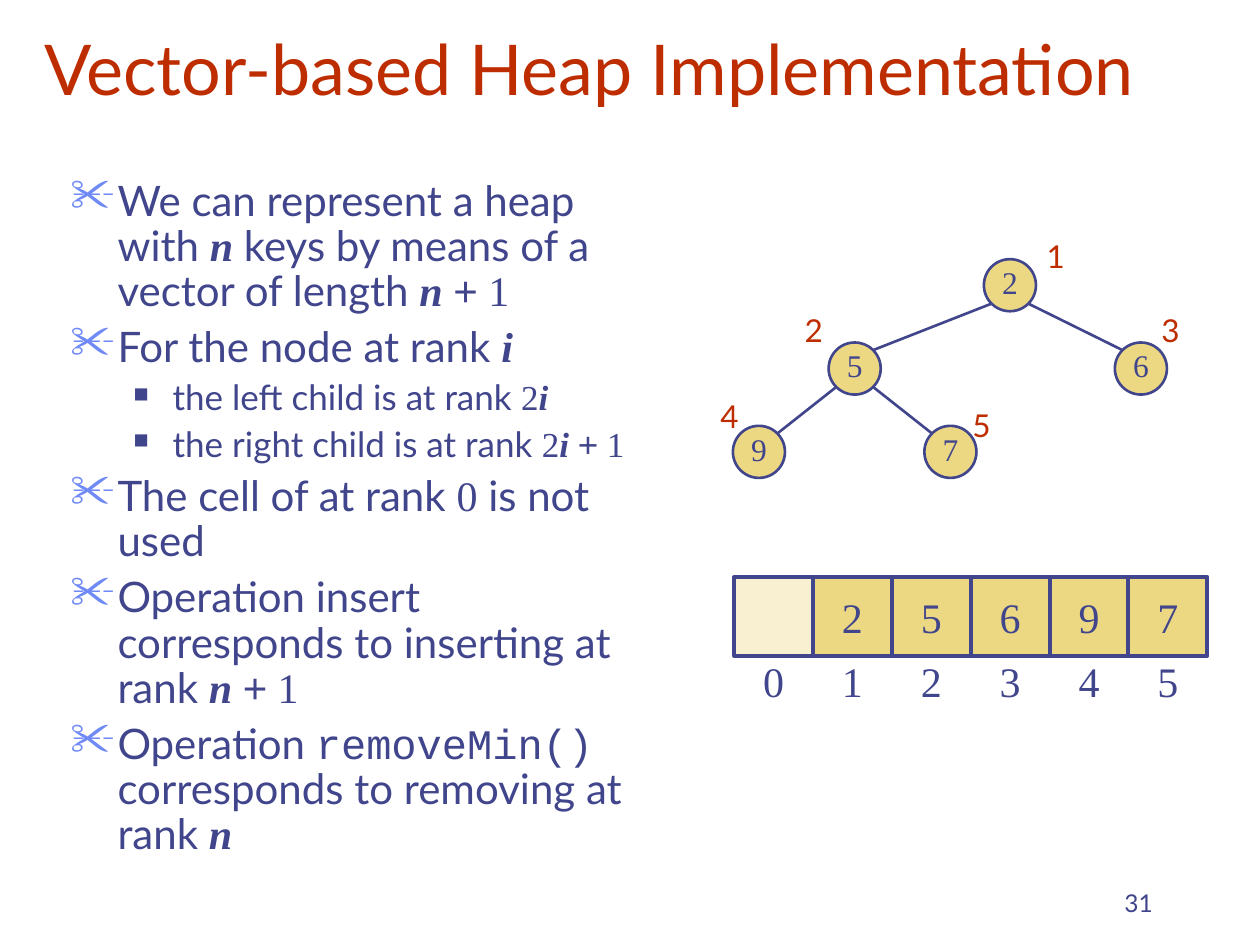
import math
import pptx
import pptx.chart.data
import pptx.dml.color
import pptx.enum.shapes
import pptx.enum.text
import pptx.oxml
import pptx.oxml.ns
import pptx.util
from lxml import etree

Cm = pptx.util.Cm
Pt = pptx.util.Pt
Align = pptx.enum.text.PP_ALIGN
Anchor = pptx.enum.text.MSO_ANCHOR
Kind = pptx.enum.shapes.MSO_SHAPE
qn = pptx.oxml.ns.qn

HUES = {"ink": "40458C", "red": "BE2D00", "gold": "ECD882",
        "pale": "F8F0D0", "mark": "6F89F7"}
SERIF = "Times New Roman"
FACES = {
    "text": {"name": "Lato"},
    "var": {"name": SERIF, "bold": True, "italic": True},
    "num": {"name": SERIF},
    "sign": {"name": "Arial"},
    "code": {"name": "Courier New"},
}
LEVELS = [
    {"size": 24, "gap": 6, "left": 0.95, "hang": -0.95, "char": "✂", "hue": "mark", "pct": 110},
    {"size": 20, "gap": 5, "left": 2.06, "hang": -0.79, "char": "■", "hue": "ink", "pct": 60},
]
TITLE = "Vector-based Heap Implementation"
NEXT = [("var", "n "), ("sign", "+"), ("num", " 1")]
POINTS = [
    (0, [("text", "We can represent a heap with "), ("var", "n"),
         ("text", " keys by means of a vector of length "), *NEXT]),
    (0, [("text", "For the node at rank "), ("var", "i")]),
    (1, [("text", "the left child is at rank "), ("num", "2"), ("var", "i")]),
    (1, [("text", "the right child is at rank "), ("num", "2"), ("var", "i "),
         ("sign", "+"), ("num", " 1")]),
    (0, [("text", "The cell of at rank "), ("num", "0"), ("text", " is not used")]),
    (0, [("text", "Operation insert corresponds to inserting at rank "), *NEXT]),
    (0, [("text", "Operation "), ("code", "removeMin() "),
         ("text", "corresponds to removing at rank "), ("var", "n")]),
]
KEYS = ["", "2", "5", "6", "9", "7"]
MIDS = {1: 20.36, 2: 17.23, 3: 23.0, 4: 15.3, 5: 19.16}
RANKS = {1: (20.55, 4.65), 2: (15.67, 6.15), 3: (22.86, 6.15),
         4: (13.97, 7.87), 5: (19.05, 8.05)}
TOP, STEP, DIAM = 5.75, 1.68, 1.05
LEFT, ROW, CELL = 14.8, 11.63, 1.59


def tint(name):
    return pptx.dml.color.RGBColor.from_string(HUES[name])


def apply(item, vals):
    for key, val in vals.items():
        setattr(item, key, val)


def write(para, text, face, size, hue="ink"):
    run = para.add_run()
    run.text = text
    apply(run.font, {**FACES[face], "size": Pt(size)})
    run.font.color.rgb = tint(hue)


def pad(frame, sides):
    names = ("margin_left", "margin_top", "margin_right", "margin_bottom")
    apply(frame, dict(zip(names, map(Cm, sides))))


def label(home, box, text, face, size, hue="ink", align=Align.CENTER,
          anchor=Anchor.TOP, sides=(0.25, 0.13, 0.25, 0.13)):
    frame = home.add_textbox(*map(Cm, box)).text_frame
    apply(frame, {"word_wrap": True, "vertical_anchor": anchor})
    pad(frame, sides)
    frame.paragraphs[0].alignment = align
    write(frame.paragraphs[0], text, face, size, hue)


def block(home, kind, box, text, size, fill, width, sides):
    shape = home.add_shape(kind, *map(Cm, box))
    shape.shadow.inherit = False
    shape.fill.solid()
    shape.fill.fore_color.rgb = tint(fill)
    shape.line.color.rgb = tint("ink")
    shape.line.width = Pt(width)
    if text:
        frame = shape.text_frame
        apply(frame, {"word_wrap": False, "vertical_anchor": Anchor.MIDDLE})
        pad(frame, sides)
        frame.paragraphs[0].alignment = Align.CENTER
        write(frame.paragraphs[0], text, "num", size)


def bullet(para, form):
    apply(para, {"line_spacing": 0.9, "space_before": Pt(form["gap"])})
    props = para._p.get_or_add_pPr()
    props.set("marL", str(Cm(form["left"])))
    props.set("indent", str(Cm(form["hang"])))
    color = etree.SubElement(props, qn("a:buClr"))
    etree.SubElement(color, qn("a:srgbClr"), val=HUES[form["hue"]])
    etree.SubElement(props, qn("a:buSzPct"), val=str(form["pct"] * 1000))
    etree.SubElement(props, qn("a:buChar"), char=form["char"])


def head(slide):
    title = slide.shapes.title
    box = (0.64, -0.84, 24.33, 3.18)
    apply(title, dict(zip(("left", "top", "width", "height"), map(Cm, box))))
    frame = title.text_frame
    apply(frame, {"word_wrap": True, "vertical_anchor": Anchor.BOTTOM,
                  "auto_size": pptx.enum.text.MSO_AUTO_SIZE.NONE})
    frame.paragraphs[0].alignment = Align.LEFT
    write(frame.paragraphs[0], TITLE, "text", 40, "red")


def body(slide):
    frame = slide.shapes.add_textbox(*map(Cm, (1.17, 3.5, 12.17, 15.67))).text_frame
    frame.word_wrap = True
    for spot, (level, parts) in enumerate(POINTS):
        para = frame.add_paragraph() if spot else frame.paragraphs[0]
        para.level = level
        bullet(para, LEVELS[level])
        for face, text in parts:
            write(para, text, face, LEVELS[level]["size"])


def row(home):
    for rank, key in enumerate(KEYS):
        left = LEFT + rank * CELL
        fill = "gold" if key else "pale"
        block(home, Kind.RECTANGLE, (left, ROW, CELL, CELL), key, 24, fill, 2.25,
              (0.25, 0.13, 0.25, 0.13))
        label(home, (left + (CELL - 0.76) / 2, ROW + CELL, 0.76, 1.02), str(rank),
              "num", 24, sides=(0, 0, 0, 0))


def tree(home):
    def mid(rank):
        return MIDS[rank], TOP + STEP * int(math.log2(rank))

    reach = DIAM / 2 / math.sqrt(2)
    for rank in MIDS:
        x, y = mid(rank)
        if rank > 1:
            px, py = mid(rank // 2)
            side = math.copysign(reach, x - px)
            ends = (px + side, py + reach, x - side, y - reach)
            edge = home.add_connector(pptx.enum.shapes.MSO_CONNECTOR.STRAIGHT, *map(Cm, ends))
            edge.line.color.rgb = tint("ink")
            edge.line.width = Pt(1.5)
            etree.SubElement(edge._element.spPr, qn("a:effectLst"))
        block(home, Kind.OVAL, (x - DIAM / 2, y - DIAM / 2, DIAM, DIAM), KEYS[rank], 18,
              "gold", 1.5, (0, 0, 0, 0.13))
        label(home, (*RANKS[rank], 1.47, 1.02), str(rank), "text", 18, "red")


def main():
    deck = pptx.Presentation()
    apply(deck, {"slide_width": Cm(25.4), "slide_height": Cm(19.05)})
    slide = deck.slides.add_slide(deck.slide_layouts[5])
    head(slide)
    body(slide)
    label(slide.shapes, (18.21, 17.35, 5.28, 1.27), "31", "text", 14,
          align=Align.RIGHT, anchor=Anchor.BOTTOM)
    row(slide.shapes.add_group_shape().shapes)
    tree(slide.shapes.add_group_shape().shapes)
    deck.save("out.pptx")


if __name__ == "__main__":
    main()
